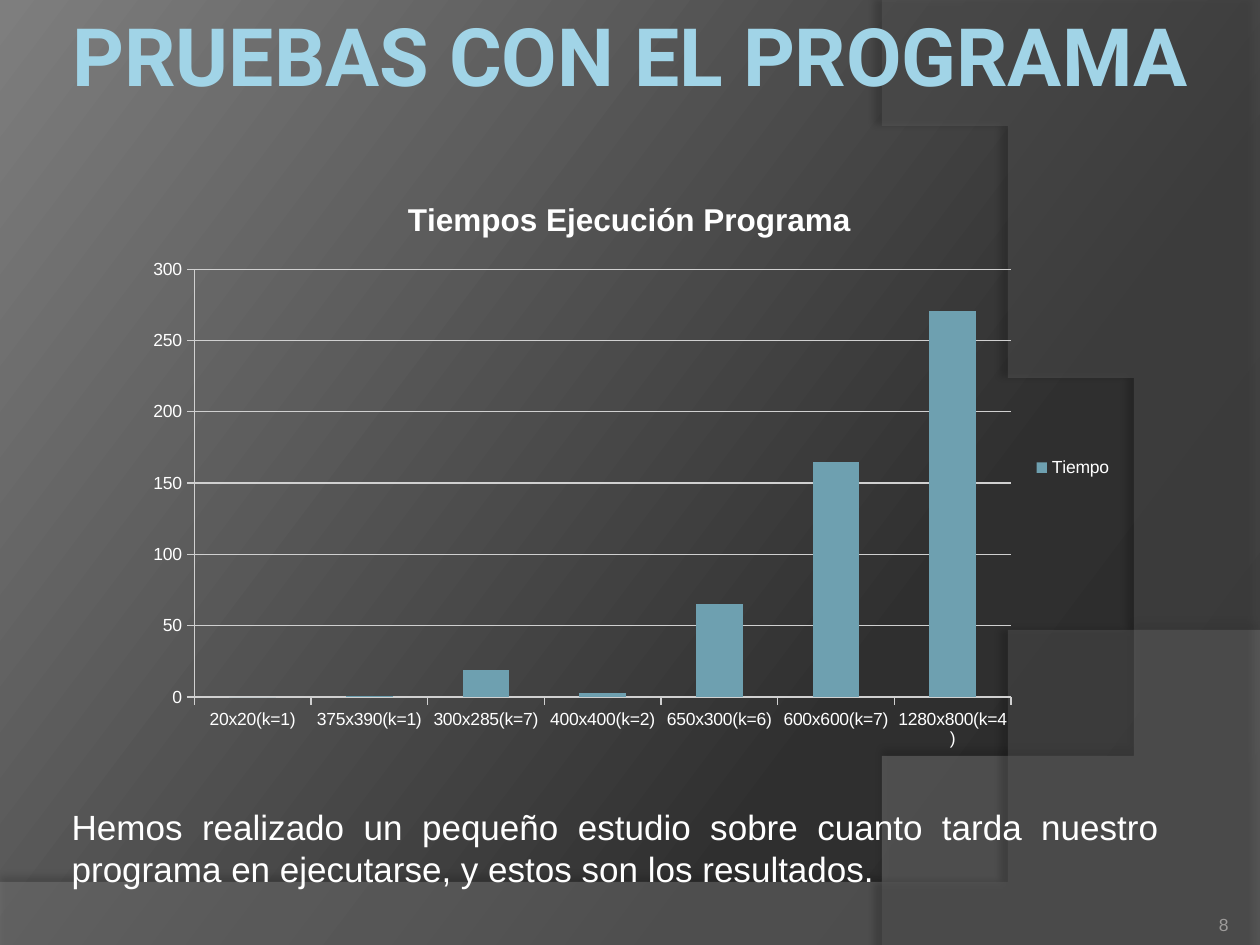
from copy import deepcopy

from lxml import etree
from pptx import Presentation, util as u
from pptx.chart.data import CategoryChartData
from pptx.dml.color import RGBColor
from pptx.enum import chart as charts, text
from pptx.oxml.ns import qn

WIDTH, HEIGHT = 10, 7.5
WHITE, SKY, TEAL, GRID = "FFFFFF", "A1D4E7", "6EA0B0", "D0D0D0"
TIMES = {
    "20x20(k=1)": 0,
    "375x390(k=1)": 1,
    "300x285(k=7)": 19,
    "400x400(k=2)": 3,
    "650x300(k=6)": 65,
    "600x600(k=7)": 165,
    "1280x800(k=4)": 271,
}


def rgb(value):
    return RGBColor.from_string(value)


def box(left, top, width, height):
    """Turn shares of the slide's size into lengths."""
    return [u.Inches(share * size) for share, size in
            zip((left, top, width, height), (WIDTH, HEIGHT) * 2)]


def add_node(parent, tag, **attributes):
    return etree.SubElement(parent, qn(tag),
                            {name: str(value) for name, value in attributes.items()})


def set_gradient(fill, owner, stops, angle):
    """Fill with (percent, colour) stops; owner is the XML element around the fill."""
    fill.gradient()
    fill.gradient_angle = angle
    stop_list = owner.find(".//" + qn("a:gsLst"))
    template = deepcopy(stop_list[0])
    for stop in list(stop_list):
        stop_list.remove(stop)
    for _ in stops:
        stop_list.append(deepcopy(template))
    for stop, (percent, colour) in zip(fill.gradient_stops, stops):
        stop.position = percent / 100
        stop.color.rgb = rgb(colour)


def curve(start, control_1, control_2, end, steps=40):
    """Points along a cubic curve, without its start."""
    points = []
    for step in range(1, steps + 1):
        t = step / steps
        weights = ((1 - t) ** 3, 3 * t * (1 - t) ** 2, 3 * t ** 2 * (1 - t), t ** 3)
        points.append(tuple(
            sum(weight * value for weight, value in zip(weights, values))
            for values in zip(start, control_1, control_2, end)))
    return points


def add_wave(slide, points, colour, opacity, shadow_opacity, distance, direction):
    builder = slide.shapes.build_freeform(*points[0], scale=u.Inches(1))
    builder.add_line_segments(points[1:], close=True)
    shape = builder.convert_to_shape()
    shape.fill.solid()
    shape.fill.fore_color.rgb = rgb(colour)
    shape.line.fill.background()
    properties = shape.element.spPr
    add_node(properties.find(".//" + qn("a:srgbClr")), "a:alpha", val=opacity * 1000)
    effects = add_node(properties, "a:effectLst")
    shadow = add_node(effects, "a:outerShdw", blurRad=u.Pt(4), dist=u.Pt(distance),
                      dir=direction * 60000, algn="ctr", rotWithShape=0)
    black = add_node(shadow, "a:srgbClr", val="000000")
    add_node(black, "a:alpha", val=shadow_opacity * 1000)


def add_text(slide, place, words, size, colour, align, anchor, insets, font="Arial"):
    frame = slide.shapes.add_textbox(*place).text_frame
    frame.word_wrap = True
    frame.vertical_anchor = anchor
    frame.margin_left, frame.margin_top, frame.margin_right, frame.margin_bottom = (
        u.Inches(inset) for inset in insets)
    frame.text = words
    paragraph = frame.paragraphs[0]
    paragraph.alignment = align
    run = paragraph.runs[0]
    run.font.name, run.font.size = font, u.Pt(size)
    run.font.color.rgb = rgb(colour)
    return run


def add_title(slide, words):
    run = add_text(slide, box(0, 0, 1, 0.13), words, 46, SKY, text.PP_ALIGN.CENTER,
                   text.MSO_ANCHOR.TOP, (0.05,) * 4, "Roboto")
    run.font.bold = True
    stops = [(0, SKY), (9, SKY), (53, "58808D"), (90, SKY), (100, SKY)]
    set_gradient(run.font.fill, run.font.fill and slide.shapes[-1].element, stops, 270)


def style_axis(axis):
    axis.major_tick_mark = charts.XL_TICK_MARK.OUTSIDE
    axis.minor_tick_mark = charts.XL_TICK_MARK.NONE
    axis.format.line.color.rgb = rgb(GRID)
    axis.format.line.width = u.Pt(0.75)


def add_times_chart(slide, place):
    data = CategoryChartData()
    data.categories = list(TIMES)
    data.add_series("Tiempo", list(TIMES.values()))
    chart = slide.shapes.add_chart(
        charts.XL_CHART_TYPE.COLUMN_CLUSTERED, *place, data).chart
    chart.font.name, chart.font.size = "Arial", u.Pt(10)
    chart.font.color.rgb = rgb(WHITE)

    chart.has_title = True
    chart.chart_title.include_in_layout = False
    chart.chart_title.text_frame.text = "Tiempos Ejecución Programa"
    font = chart.chart_title.text_frame.paragraphs[0].runs[0].font
    font.name, font.size, font.bold = "Arial", u.Pt(18), True
    font.color.rgb = rgb(WHITE)

    chart.has_legend = True
    chart.legend.position = charts.XL_LEGEND_POSITION.RIGHT
    chart.legend.include_in_layout = False

    style_axis(chart.category_axis)
    value_axis = chart.value_axis
    style_axis(value_axis)
    value_axis.minimum_scale, value_axis.maximum_scale = 0, 300
    value_axis.major_unit = 50
    value_axis.has_major_gridlines = True
    value_axis.major_gridlines.format.line.color.rgb = rgb(GRID)
    value_axis.major_gridlines.format.line.width = u.Pt(0.75)

    plot = chart.plots[0]
    plot.vary_by_categories = False
    plot.gap_width = 150
    bars = plot.series[0].format.fill
    bars.solid()
    bars.fore_color.rgb = rgb(TEAL)


def main():
    presentation = Presentation()
    presentation.slide_width, presentation.slide_height = u.Inches(WIDTH), u.Inches(HEIGHT)
    slide = presentation.slides.add_slide(presentation.slide_layouts[6])
    set_gradient(slide.background.fill, slide.element,
                 [(0, "282828"), (30, "2F2F2F"), (100, "7E7E7E")], 143)

    bottom_wave = [(0, 7.05), (0, HEIGHT), (WIDTH, HEIGHT), (WIDTH, 5.2)]
    bottom_wave += curve((WIDTH, 5.2), (5.59, 7.29), (3.91, 7.19), (0, 7.05))
    add_wave(slide, bottom_wave, "7F7F7F", 45, 35, 3.5, 270)
    right_wave = [(WIDTH, 0.02), (WIDTH, HEIGHT), (7.03, HEIGHT)]
    right_wave += curve((7.03, HEIGHT), (8.91, 6.19), (9.47, 2.75), (6.68, 0))
    add_wave(slide, right_wave, "5E5E5E", 40, 45, 4, 180)

    add_title(slide, "PRUEBAS CON EL PROGRAMA")
    add_text(slide, box(0.047, 0.225, 0.878, 0.716),
             "Hemos realizado un pequeño estudio sobre cuanto tarda nuestro programa "
             "en ejecutarse, y estos son los resultados.",
             20, WHITE, text.PP_ALIGN.JUSTIFY, text.MSO_ANCHOR.BOTTOM, (0.1, 0, 0.05, 0))
    add_text(slide, box(0.892, 0.936, 0.083, 0.053), "8", 10, "9D9B9A",
             text.PP_ALIGN.RIGHT, text.MSO_ANCHOR.BOTTOM, (0,) * 4)
    add_times_chart(slide, box(0.106, 0.185, 0.787, 0.62))
    presentation.save("out.pptx")


if __name__ == "__main__":
    main()
